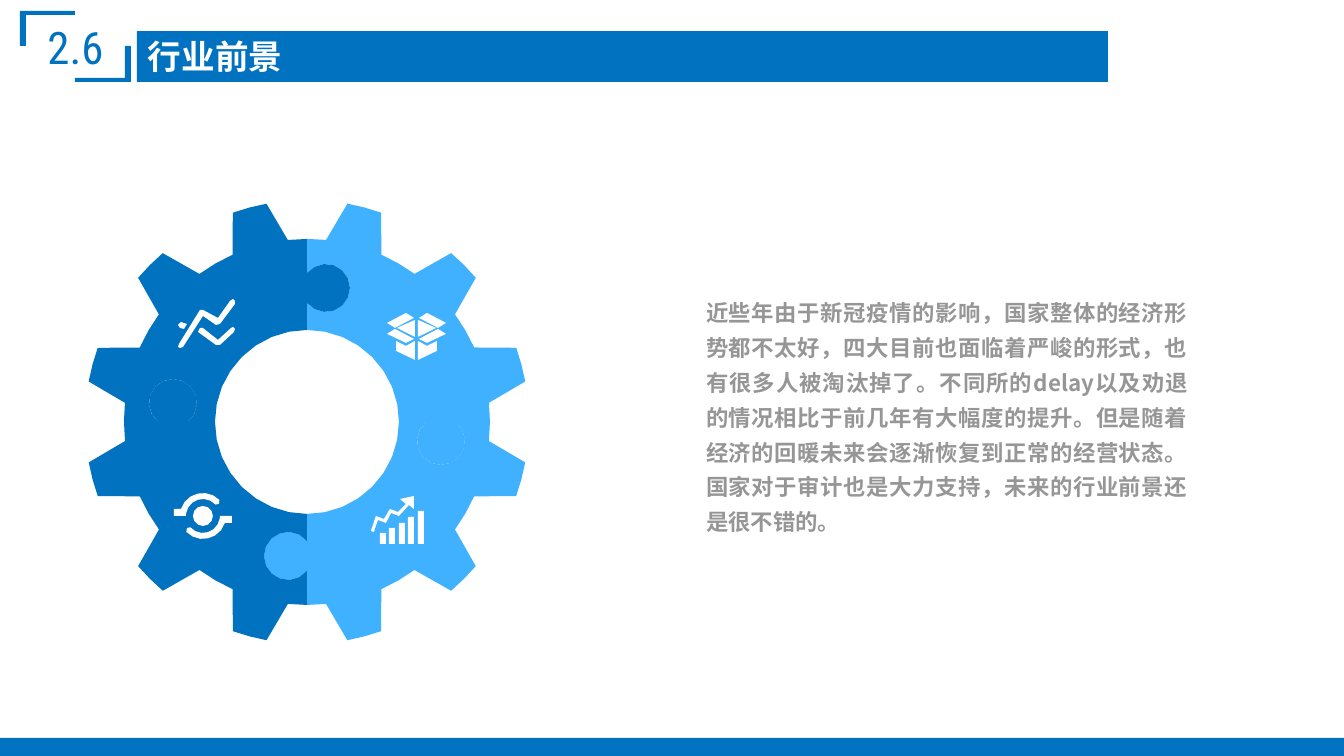
import math

import pptx
import pptx.dml.color
import pptx.enum.shapes
import pptx.enum.text
import pptx.oxml.ns
import pptx.util
from lxml import etree

PX = 914400 / 134.4
BLUE = pptx.dml.color.RGBColor(0x00, 0x72, 0xBF)
SKY = pptx.dml.color.RGBColor(0x3F, 0xB1, 0xFF)
WHITE = pptx.dml.color.RGBColor(0xFF, 0xFF, 0xFF)
GRAY = pptx.dml.color.RGBColor(0x96, 0x96, 0x96)
CJK = "Noto Sans CJK SC"

CENTER = (307, 422)
HOLE, BODY, TIP = 92, 183, 222
KNOB_AT, KNOB_SHIFT, KNOB_R = 134, 19, 24

TITLE = "行业前景"
OUTLOOK = (
    "近些年由于新冠疫情的影响，国家整体的经济形势都不太好，四大目前也面临着严峻的形式，"
    "也有很多人被淘汰掉了。不同所的delay以及劝退的情况相比于前几年有大幅度的提升。"
    "但是随着经济的回暖未来会逐渐恢复到正常的经营状态。"
    "国家对于审计也是大力支持，未来的行业前景还是很不错的。"
)


def emu(px):
    return pptx.util.Emu(round(px * PX))


def polar(center, radius, degrees):
    """Point at a clockwise angle from twelve o'clock."""
    a = math.radians(degrees)
    return center[0] + radius * math.sin(a), center[1] - radius * math.cos(a)


def arc(center, radius, start, end, steps):
    return [polar(center, radius, start + (end - start) * i / steps)
            for i in range(steps + 1)]


def seam(angle):
    """Edge between two gear pieces, outwards, with a knob bulging clockwise."""
    knob = arc((KNOB_AT, KNOB_SHIFT), KNOB_R, -38, -322, 12)
    return [polar(CENTER, math.hypot(x, y), angle + math.degrees(math.atan2(y, x)))
            for x, y in [(HOLE, 0), *knob, (BODY, 0)]]


def gear_piece(start):
    """Quarter of the gear with three teeth, clockwise from the start angle."""
    rim = []
    for tooth in (start + 15, start + 45, start + 75):
        rim.append(polar(CENTER, BODY, tooth - 9))
        rim += arc(CENTER, TIP, tooth - 4.5, tooth + 4.5, 2)
        rim += arc(CENTER, BODY, tooth + 9, tooth + 15, 1)
    return seam(start) + rim[:-1] + seam(start + 90)[::-1] + arc(
        CENTER, HOLE, start + 90, start, 8)[1:-1]


def line_icon():
    return [
        [(203, 316), (216, 325), (220, 324), (235, 304), (235, 301), (233, 299),
         (230, 301), (218, 318), (203, 310), (200, 310), (179, 344), (178, 347),
         (180, 348), (183, 347)],
        [(231, 328), (218, 340), (203, 328), (200, 328), (198, 332), (216, 345),
         (220, 345), (234, 332), (235, 329), (233, 327)],
        [(180, 328), (184, 329), (187, 324), (181, 322), (178, 325)],
    ]


def box_icon():
    right = [
        [(418, 320), (418, 337), (436, 328)],
        [(446, 323), (438, 328), (419, 318), (427, 313)],
        [(446, 334), (427, 343), (419, 339), (438, 329)],
        [(418, 341), (418, 360), (437, 351), (437, 341), (427, 346)],
    ]
    return right + [[(833 - x, y) for x, y in part] for part in right]


def orbit_icon():
    c = (203, 516)
    lower = ([(220, 516), (232, 516), (232, 523), (225, 523)]
             + arc(c, 23, 108, 226, 6) + [polar(c, 20, 233)] + arc(c, 17, 228, 98, 6))
    upper = [(2 * c[0] - x, 2 * c[1] - y) for x, y in lower]
    return [lower, upper, arc(c, 10, 0, 330, 11)]


def growth_icon():
    arrow = [(391, 513), (399, 516), (409, 505), (414, 509), (414, 496), (400, 499),
             (406, 504), (398, 512), (390, 509), (384, 519), (376, 516), (371, 531),
             (374, 532), (378, 520), (386, 523)]
    parts = [arrow]
    for i, top in enumerate((533, 528, 523, 517, 511)):
        x = 380 + 19 * i // 2
        parts.append([(x, top), (x + 6, top), (x + 6, 544), (x, 544)])
    return parts


class Deck:
    """Holds the style and the current slide."""

    def __init__(self, prs):
        self.s = prs.slides.add_slide(prs.slide_layouts[1])

    def paint(self, sp, color):
        sp.shadow.inherit = False
        sp.fill.solid()
        sp.fill.fore_color.rgb = color
        sp.line.fill.background()
        return sp

    def rect(self, x, y, w, h, color):
        kind = pptx.enum.shapes.MSO_SHAPE.RECTANGLE
        sp = self.s.shapes.add_shape(kind, emu(x), emu(y), emu(w), emu(h))
        return self.paint(sp, color)

    def outline(self, contours, color):
        fb = None
        for contour in contours:
            pts = [(emu(x), emu(y)) for x, y in contour]
            if fb is None:
                fb = self.s.shapes.build_freeform(*pts[0])
            else:
                fb.move_to(*pts[0])
            fb.add_line_segments(pts[1:], close=True)
        return self.paint(fb.convert_to_shape(), color)

    def place(self, sp, x, y, w, h):
        sp.left, sp.top, sp.width, sp.height = emu(x), emu(y), emu(w), emu(h)

    def text(self, sp, text, size, font, color, align, anchor, inset=(11, 5), bold=False):
        tf = sp.text_frame
        tf.text = text
        tf.word_wrap = True
        tf.auto_size = pptx.enum.text.MSO_AUTO_SIZE.NONE
        tf.vertical_anchor = anchor
        tf.margin_left = tf.margin_right = emu(inset[0])
        tf.margin_top = tf.margin_bottom = emu(inset[1])
        p = tf.paragraphs[0]
        p.alignment = align
        r = p.runs[0]
        r.font.size, r.font.name, r.font.bold = pptx.util.Pt(size), font, bold
        r.font.color.rgb = color
        etree.SubElement(r._r.get_or_add_rPr(), pptx.oxml.ns.qn("a:ea"), typeface=CJK)
        return p

    def title(self, x, y, w, h, text):
        sp = self.s.shapes.title
        self.place(sp, x, y, w, h)
        sp.fill.solid()
        sp.fill.fore_color.rgb = BLUE
        self.text(sp, text, 18, "Arial", WHITE, pptx.enum.text.PP_ALIGN.LEFT,
                  pptx.enum.text.MSO_ANCHOR.MIDDLE, bold=True)

    def body(self, x, y, w, h, text):
        sp = self.s.placeholders[1]
        self.place(sp, x, y, w, h)
        p = self.text(sp, text, 12, CJK, GRAY, pptx.enum.text.PP_ALIGN.JUSTIFY,
                      pptx.enum.text.MSO_ANCHOR.TOP, inset=(13, 7), bold=True)
        p.line_spacing = 1.3
        p.space_before, p.space_after = pptx.util.Pt(0), pptx.util.Pt(6)
        pPr = p._p.get_or_add_pPr()
        pPr.set("marL", "0")
        pPr.set("indent", "0")
        etree.SubElement(pPr, pptx.oxml.ns.qn("a:buNone"))


def main():
    prs = pptx.Presentation()
    prs.slide_width, prs.slide_height = emu(1344), emu(756)
    deck = Deck(prs)

    for start, color in ((90, SKY), (0, SKY), (180, BLUE), (270, BLUE)):
        deck.outline([gear_piece(start)], color)
    for icon in (growth_icon, box_icon, orbit_icon, line_icon):
        deck.outline(icon(), WHITE)

    deck.rect(0, 738, 1344, 18, BLUE)
    deck.title(137, 31, 971, 51, TITLE)
    brackets = deck.outline([
        [(125, 46), (131, 46), (131, 82), (75, 82), (75, 78), (125, 78)],
        [(20, 11), (75, 11), (75, 15), (26, 15), (26, 46), (20, 46)],
    ], BLUE)
    deck.text(brackets, "2.6", 24, "Roboto Condensed", BLUE,
              pptx.enum.text.PP_ALIGN.CENTER, pptx.enum.text.MSO_ANCHOR.MIDDLE)
    deck.body(693, 284, 508, 261, OUTLOOK)
    prs.save("out.pptx")


if __name__ == "__main__":
    main()
